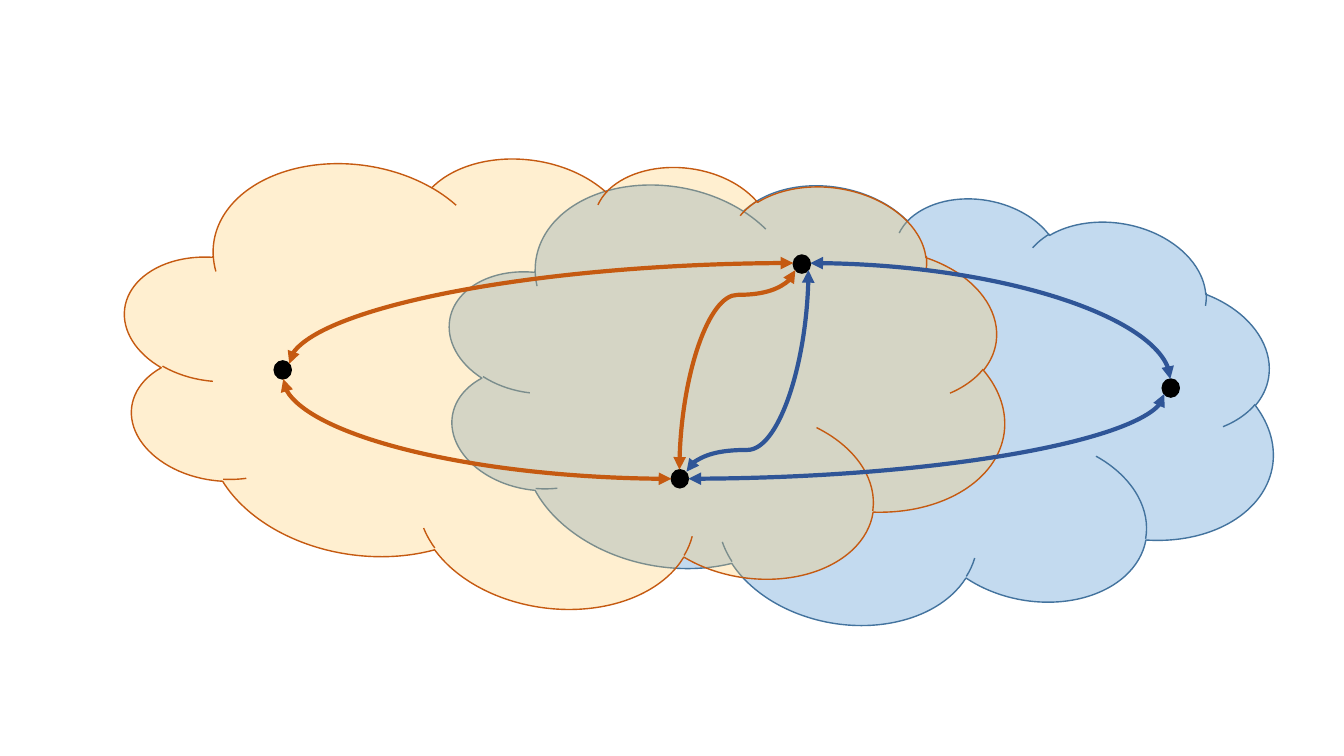
from typing import NamedTuple

from lxml import etree
from pptx import Presentation
from pptx.dml.color import RGBColor
from pptx.enum import shapes as kinds
from pptx.oxml import ns
from pptx.util import Pt

COLORS = {
    "sky": "5B9BD5", "steel": "43739E", "sand": "FFCC66",
    "rust": "C55A11", "navy": "2F5597", "black": "000000",
}
DOT_W, DOT_H = 12.24, 12.96


class Blob(NamedTuple):
    left: float
    top: float
    width: float
    height: float
    fill: str
    line: str
    turn: float = 0
    alpha: int = 100


class Link(NamedTuple):
    start: tuple[float, float]
    end: tuple[float, float]
    color: str
    turn: int = 0
    flips: str = ""
    bend: float | None = None


CLOUDS = [
    Blob(316.08, 128.88, 596.16, 316.08, "sky", "steel", 9.7, 36),
    Blob(85.68, 108.72, 633.6, 324.72, "sand", "rust", 7.6, 30),
]
DOTS = [(479.52, 335.52), (566.64, 182.16), (195.84, 257.76), (830.16, 270.72)]
LINKS = [
    Link((206.64, 259.92), (566.64, 187.92), "rust", 90, "hv"),
    Link((202.32, 270.72), (479.52, 342), "rust", 270, "h"),
    Link((485.28, 335.52), (568.08, 192.96), "rust", 90, "hv", 0.876),
    Link((491.76, 342), (831.6, 281.52), "navy", 0, "v"),
    Link((578.88, 187.92), (835.92, 270.72), "navy"),
    Link((577.44, 192.96), (490.32, 336.96), "navy", 90, "", 0.892),
]


def color(name: str) -> RGBColor:
    return RGBColor.from_string(COLORS[name])


def add(parent, tag: str, **attrs: str):
    """Append a DrawingML child element."""
    return etree.SubElement(parent, ns.qn(tag), attrs)


def draw_blob(slide, kind, blob: Blob) -> None:
    box = (Pt(n) for n in blob[:4])
    shape = slide.shapes.add_shape(kind, *box)
    shape.shadow.inherit = False
    shape.rotation = blob.turn
    shape.fill.solid()
    shape.fill.fore_color.rgb = color(blob.fill)
    if blob.alpha < 100:
        tint = shape._element.spPr.find(".//" + ns.qn("a:srgbClr"))
        add(tint, "a:alpha", val=str(blob.alpha * 1000))
    shape.line.color.rgb = color(blob.line)
    shape.line.width = Pt(1)


def draw_link(slide, link: Link) -> None:
    """Draw a two-headed curve; its frame is laid out before it is turned."""
    (x1, y1), (x2, y2) = link.start, link.end
    wide, high = abs(x2 - x1), abs(y2 - y1)
    if link.turn in (90, 270):
        wide, high = high, wide
    mid_x, mid_y = (x1 + x2) / 2, (y1 + y2) / 2
    dx = wide / 2 * (-1 if "h" in link.flips else 1)
    dy = high / 2 * (-1 if "v" in link.flips else 1)
    ends = (mid_x - dx, mid_y - dy, mid_x + dx, mid_y + dy)
    curve = slide.shapes.add_connector(
        kinds.MSO_CONNECTOR.CURVE, *(Pt(n) for n in ends))
    curve.line.color.rgb = color(link.color)
    curve.line.width = Pt(3)

    props = curve._element.spPr
    props.find(ns.qn("a:xfrm")).set("rot", str(link.turn * 60000))
    geom = props.find(ns.qn("a:prstGeom"))
    if link.bend is None:
        geom.set("prst", "curvedConnector2")
    else:
        guide = f"val {round(link.bend * 100000)}"
        add(geom.find(ns.qn("a:avLst")), "a:gd", name="adj1", fmla=guide)
    stroke = props.find(ns.qn("a:ln"))
    for tip in ("a:headEnd", "a:tailEnd"):
        add(stroke, tip, type="triangle")
    add(props, "a:effectLst")


def main() -> None:
    deck = Presentation()
    deck.slide_width, deck.slide_height = Pt(960), Pt(540)
    slide = deck.slides.add_slide(deck.slide_layouts[6])
    for cloud in CLOUDS:
        draw_blob(slide, kinds.MSO_SHAPE.CLOUD, cloud)
    for left, top in DOTS:
        dot = Blob(left, top, DOT_W, DOT_H, "black", "black")
        draw_blob(slide, kinds.MSO_SHAPE.OVAL, dot)
    for link in LINKS:
        draw_link(slide, link)
    deck.save("out.pptx")


if __name__ == "__main__":
    main()
